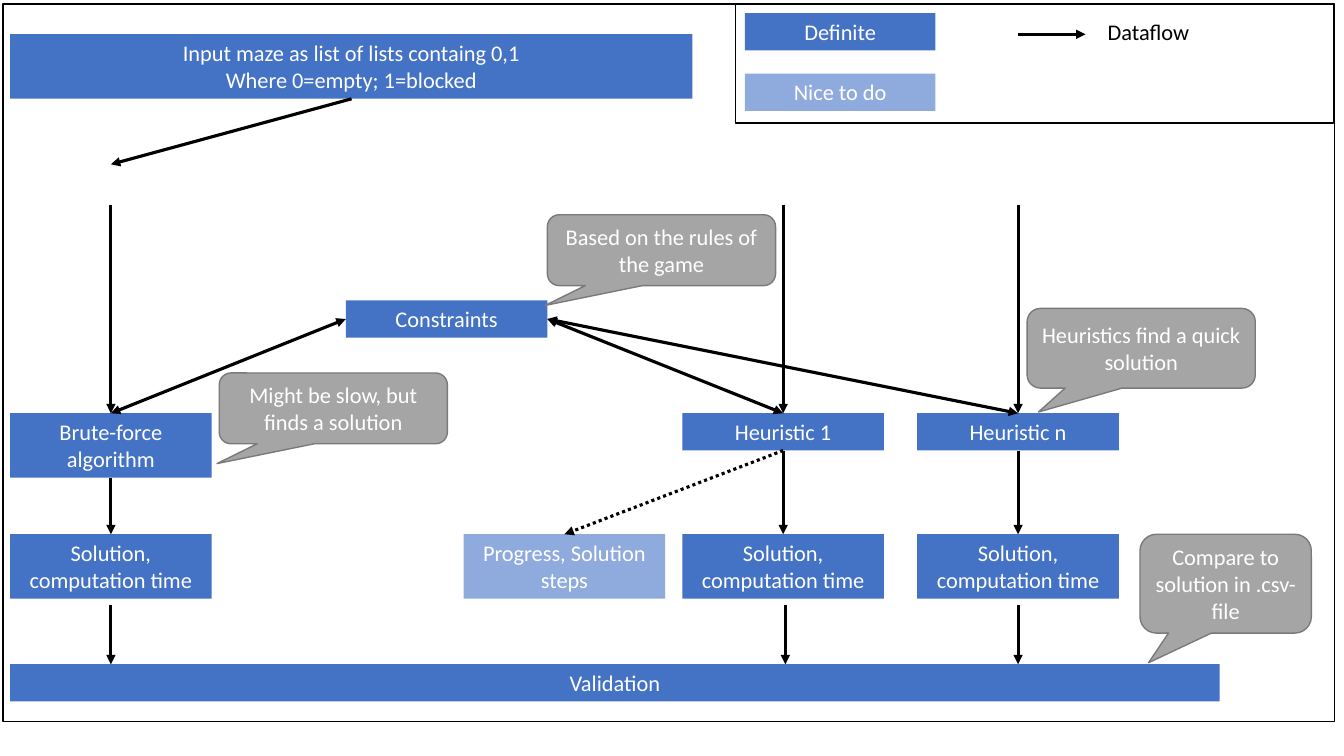
from pptx import Presentation
from pptx.dml.color import RGBColor
from pptx.enum.dml import MSO_LINE
from pptx.enum.shapes import MSO_CONNECTOR, MSO_SHAPE
from pptx.enum.text import MSO_ANCHOR, PP_ALIGN
from pptx.oxml.ns import qn
from pptx.util import Pt
from lxml import etree

RECT, CALLOUT = MSO_SHAPE.RECTANGLE, MSO_SHAPE.ROUNDED_RECTANGULAR_CALLOUT
STRAIGHT, DOTTED = MSO_CONNECTOR.STRAIGHT, MSO_LINE.ROUND_DOT
TOP, MIDDLE = MSO_ANCHOR.TOP, MSO_ANCHOR.MIDDLE
CENTER, LEFT = PP_ALIGN.CENTER, PP_ALIGN.LEFT

THEME = {
    "definite": RGBColor(0x44, 0x72, 0xC4),
    "optional": RGBColor(0x8F, 0xAA, 0xDC),
    "remark": RGBColor(0xA5, 0xA5, 0xA5),
    "remark_edge": RGBColor(0x7A, 0x7A, 0x7A),
    "ink": RGBColor(0, 0, 0),
    "paper": RGBColor(0xFF, 0xFF, 0xFF),
    "font": "Calibri",
    "size": Pt(16),
    "flow": Pt(2.25),
    "edge": Pt(1),
}

deck = Presentation()
deck.slide_width, deck.slide_height = Pt(960), Pt(540)
slide = deck.slides.add_slide(deck.slide_layouts[6])


def add_block(bounds, text="", fill=None, edge=None, kind=RECT, ink="paper", align=CENTER, anchor=TOP):
    block = slide.shapes.add_shape(kind, *map(Pt, bounds))
    block.shadow.inherit = False
    for part, color in ((block.fill, fill), (block.line.fill, edge)):
        if color:
            part.solid()
            part.fore_color.rgb = THEME[color]
        else:
            part.background()
    if edge:
        block.line.width = THEME["edge"]
    frame = block.text_frame
    for name, value in {"text": text, "word_wrap": True, "vertical_anchor": anchor}.items():
        setattr(frame, name, value)
    for paragraph in frame.paragraphs:
        paragraph.alignment = align
        for name, value in {"name": THEME["font"], "size": THEME["size"]}.items():
            setattr(paragraph.font, name, value)
        paragraph.font.color.rgb = THEME[ink]
    return block


def add_flow(start, end, heads=("tailEnd",), dash=None):
    flow = slide.shapes.add_connector(STRAIGHT, *map(Pt, (*start, *end)))
    flow.line.color.rgb = THEME["ink"]
    flow.line.width = THEME["flow"]
    if dash:
        flow.line.dash_style = dash
    properties = flow.element.spPr
    stroke = properties.find(qn("a:ln"))
    for head in heads:
        etree.SubElement(stroke, qn("a:" + head)).set("type", "triangle")
    etree.SubElement(properties, qn("a:effectLst"))


box_width, one_line, two_lines = 144, 26.6, 46.1
brute_x, progress_x, first_x, last_x = 79.2, 403.2, 559.4, 727.2
input_y, split_y, constraint_y, method_y, result_y, validation_y = 24.5, 146.2, 214.6, 295.2, 381.6, 474.5
input_bottom = input_y + two_lines
constraint_left = 247
constraint_right = constraint_left + box_width
constraint_middle = constraint_y + one_line / 2

add_block((7.2, input_y, 487.5, two_lines),
          "Input maze as list of lists containg 0,1\nWhere 0=empty; 1=blocked", "definite")
add_block((constraint_left, constraint_y, box_width, one_line), "Constraints", "definite")
add_flow((251.1, input_bottom), (brute_x, 117.4))

methods = [
    ("Brute-force algorithm", brute_x, two_lines, constraint_left, brute_x),
    ("Heuristic 1", first_x, one_line, constraint_right, 561),
    ("Heuristic n", last_x, one_line, constraint_right, last_x),
]
for method, x, height, constraint_x, validation_x in methods:
    left = x - box_width / 2
    add_block((left, method_y, box_width, height), method, "definite")
    add_block((left, result_y, box_width, two_lines), "Solution, computation time", "definite")
    add_flow((constraint_x, constraint_middle), (x, method_y), ("headEnd", "tailEnd"))
    add_flow((x, split_y), (x, method_y))
    add_flow((x, method_y + height), (x, result_y))
    add_flow((validation_x, 432), (validation_x, validation_y))

add_block((progress_x - box_width / 2, result_y, box_width, two_lines), "Progress, Solution steps", "optional")
add_flow((first_x, method_y + one_line), (progress_x, result_y), dash=DOTTED)
add_block((7.2, validation_y, 864, one_line), "Validation", "definite")

remarks = [
    ("Might be slow, but finds a solution", (156.6, 266.4, 163, 50.6), (-0.51, 0.78)),
    ("Based on the rules of the game", (391, 153.4, 163, 50.6), (-0.51, 0.78)),
    ("Heuristics find a quick solution", (733.7, 220.3, 163, 56.9), (-0.45, 0.8)),
    ("Compare to solution in .csv-file", (814.3, 381.6, 122.4, 70.6), (-0.45, 0.8)),
]
for remark, bounds, pointer in remarks:
    callout = add_block(bounds, remark, "remark", "remark_edge", CALLOUT, anchor=MIDDLE)
    for index, value in enumerate(pointer):
        callout.adjustments[index] = value

legend_y = 9.4
for row, (label, fill) in enumerate((("Definite", "definite"), ("Nice to do", "optional"))):
    add_block((532.1, legend_y + row * 43.2, 136.1, one_line), label, fill)
for border in ((525.6, 2.9, 427, 85), (2.2, 2.9, 951.1, 512.6)):
    add_block(border, edge="ink")
add_flow((last_x, input_y), (775.4, input_y))
add_block((784.1, legend_y, 90.7, one_line), "Dataflow", ink="ink", align=LEFT)

deck.save("out.pptx")
